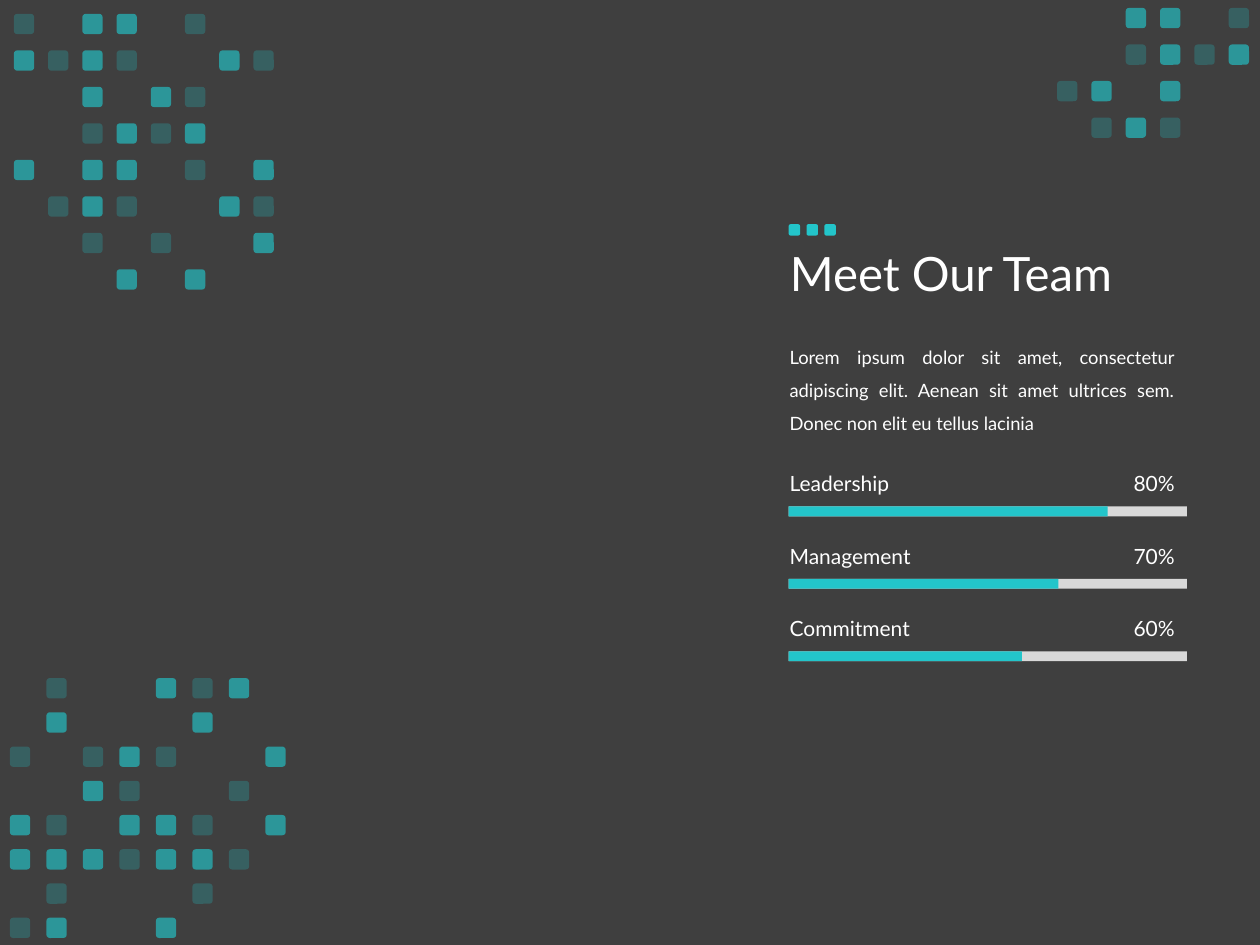
from dataclasses import dataclass

from lxml.etree import SubElement
from pptx import Presentation
from pptx.dml.color import RGBColor
from pptx.enum.shapes import MSO_SHAPE as Shape
from pptx.enum.text import MSO_ANCHOR as Anchor, MSO_AUTO_SIZE as AutoSize, PP_ALIGN as Align
from pptx.oxml.ns import qn
from pptx.util import Cm, Pt


@dataclass(frozen=True)
class Theme:
    font: str = "Lato"
    background: str = "3F3F3F"
    accent: str = "23C5CA"
    track: str = "D9D9D9"
    text: str = "FFFFFF"
    title_size: float = 27
    body_size: float = 10.5
    label_size: float = 12


@dataclass(frozen=True)
class Box:
    left: float
    top: float
    width: float
    height: float

    def inner(self, left, top, width, height):
        return Box(self.left + left, self.top + top, width, height)

    def lengths(self):
        return Cm(self.left), Cm(self.top), Cm(self.width), Cm(self.height)


THEME = Theme()
TITLE = "Meet Our Team"
INTRO = ("Lorem ipsum dolor sit amet, consectetur adipiscing elit. "
         "Aenean sit amet ultrices sem. Donec non elit eu tellus lacinia")
SKILLS = [("Leadership", "80%", 6.43), ("Management", "70%", 5.44), ("Commitment", "60%", 4.7)]

OPACITY = {"#": 65, "o": 25}
TILE = 0.41
TOP_LEFT = ["o.##.o..", "#o#o..#o", "..#.#o..", "..o#o#..",
            "#.##.o.#", ".o#o..#o", "..o.o..#", "...#.#.."]
BOTTOM_LEFT = [".o..#o#.", ".#...#..", "o.o#o..#", "..#o..o.",
               "#o.##o.#", "###o##o.", ".o...o..", "o#..#..."]
TOP_RIGHT = ["..##.o", "..o#o#", "o#.#..", ".o#o.."]


def add_block(parent, kind, box, color, opacity=100):
    shape = parent.shapes.add_shape(kind, *box.lengths())
    shape.shadow.inherit = False
    shape.line.fill.background()
    shape.fill.solid()
    shape.fill.fore_color.rgb = RGBColor.from_string(color)
    if opacity < 100:
        tint = shape.fill._xPr.find(qn("a:solidFill"))[0]
        SubElement(tint, qn("a:alpha")).set("val", str(opacity * 1000))
    return shape


def write(shape, text, size, align=Align.LEFT, anchor=Anchor.MIDDLE, spacing=1.0,
          fit=AutoSize.SHAPE_TO_FIT_TEXT):
    frame = shape.text_frame
    frame.word_wrap = True
    frame.auto_size = fit
    frame.vertical_anchor = anchor
    para = frame.paragraphs[0]
    para.alignment = align
    para.line_spacing = spacing
    span = para.add_run()
    span.text = text
    span.font.name = THEME.font
    span.font.size = Pt(size)
    span.font.color.rgb = RGBColor.from_string(THEME.text)


def add_text(page, box, text, size, **style):
    write(page.shapes.add_textbox(*box.lengths()), text, size, **style)


def add_mosaic(page, box, pattern):
    group = page.shapes.add_group_shape()
    step_x = (box.width - TILE) / (len(pattern[0]) - 1)
    step_y = (box.height - TILE) / (len(pattern) - 1)
    for row, marks in enumerate(pattern):
        for column, mark in enumerate(marks):
            if mark in OPACITY:
                add_block(group, Shape.ROUNDED_RECTANGLE,
                          box.inner(column * step_x, row * step_y, TILE, TILE),
                          THEME.accent, OPACITY[mark])


def add_heading(page, box):
    title = page.shapes.title
    title.left, title.top, title.width, title.height = box.lengths()
    write(title, TITLE, THEME.title_size, spacing=0.9, fit=AutoSize.NONE)
    dots = page.shapes.add_group_shape()
    for index in range(3):
        add_block(dots, Shape.ROUNDED_RECTANGLE,
                  box.inner(0.23 + index * 0.36, 0.79, 0.23, 0.23), THEME.accent)


def add_skill(page, box, name, share, length):
    add_text(page, box.inner(0, 0, 3.94, 0.76), name, THEME.label_size)
    add_text(page, box.inner(box.width - 2, 0, 2, 0.76), share, THEME.label_size,
             align=Align.RIGHT)
    for width, color in ((box.width - 0.23, THEME.track), (length, THEME.accent)):
        add_block(page, Shape.RECTANGLE, box.inner(0.23, 0.84, width, 0.2), color)


def add_team_panel(page, box):
    add_heading(page, box.inner(0, 0, 21.89, 3.68))
    add_text(page, box.inner(0, 2.9, box.width, 2.18), INTRO, THEME.body_size,
             align=Align.JUSTIFY, anchor=Anchor.TOP, spacing=1.5)
    for index, skill in enumerate(SKILLS):
        add_skill(page, box.inner(0, 5.64 + index * 1.46, box.width, 1.04), *skill)


def main():
    deck = Presentation()
    deck.slide_width, deck.slide_height = Cm(25.4), Cm(19.05)
    page = deck.slides.add_slide(deck.slide_layouts[5])
    page.background.fill.solid()
    page.background.fill.fore_color.rgb = RGBColor.from_string(THEME.background)
    add_mosaic(page, Box(0.28, 0.28, 5.24, 5.56), TOP_LEFT)
    add_mosaic(page, Box(0.2, 13.67, 5.56, 5.24), BOTTOM_LEFT)
    add_team_panel(page, Box(15.67, 3.73, 8.26, 9.6))
    add_mosaic(page, Box(21.31, 0.16, 3.87, 2.62), TOP_RIGHT)
    deck.save("out.pptx")


if __name__ == "__main__":
    main()
